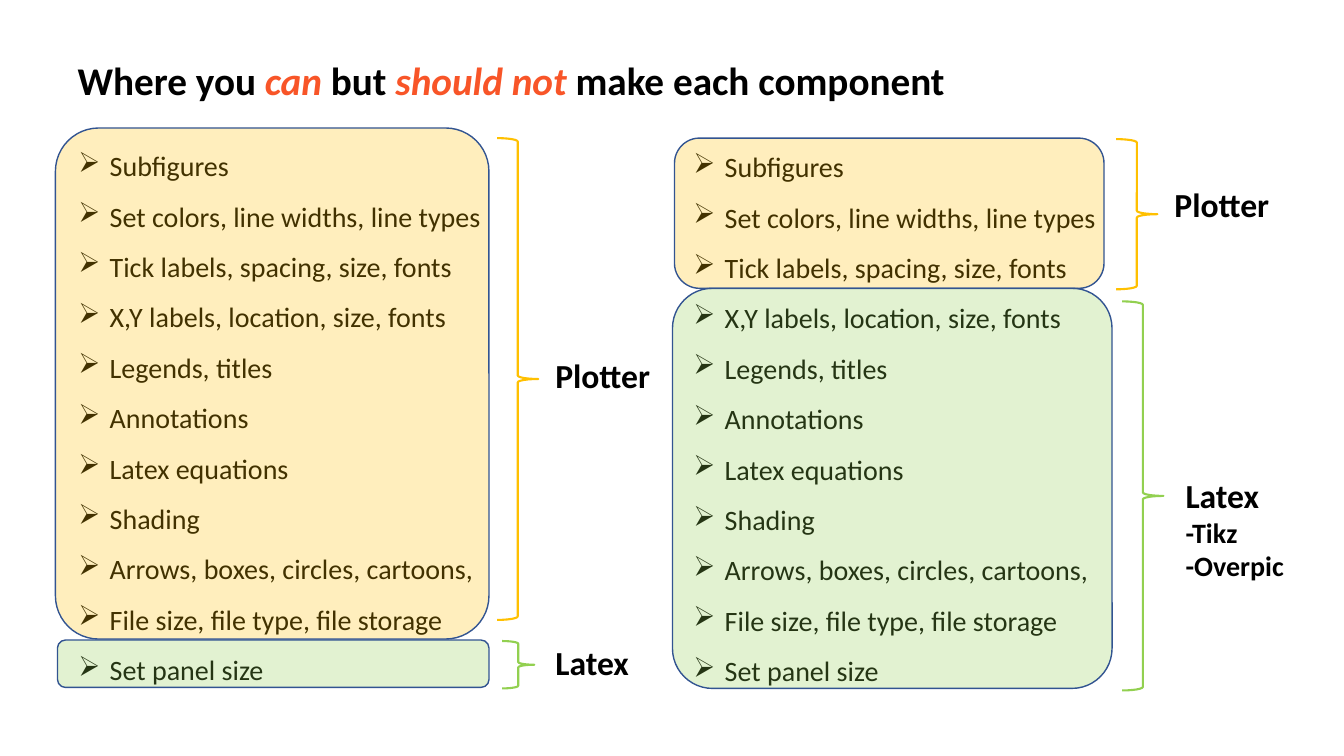
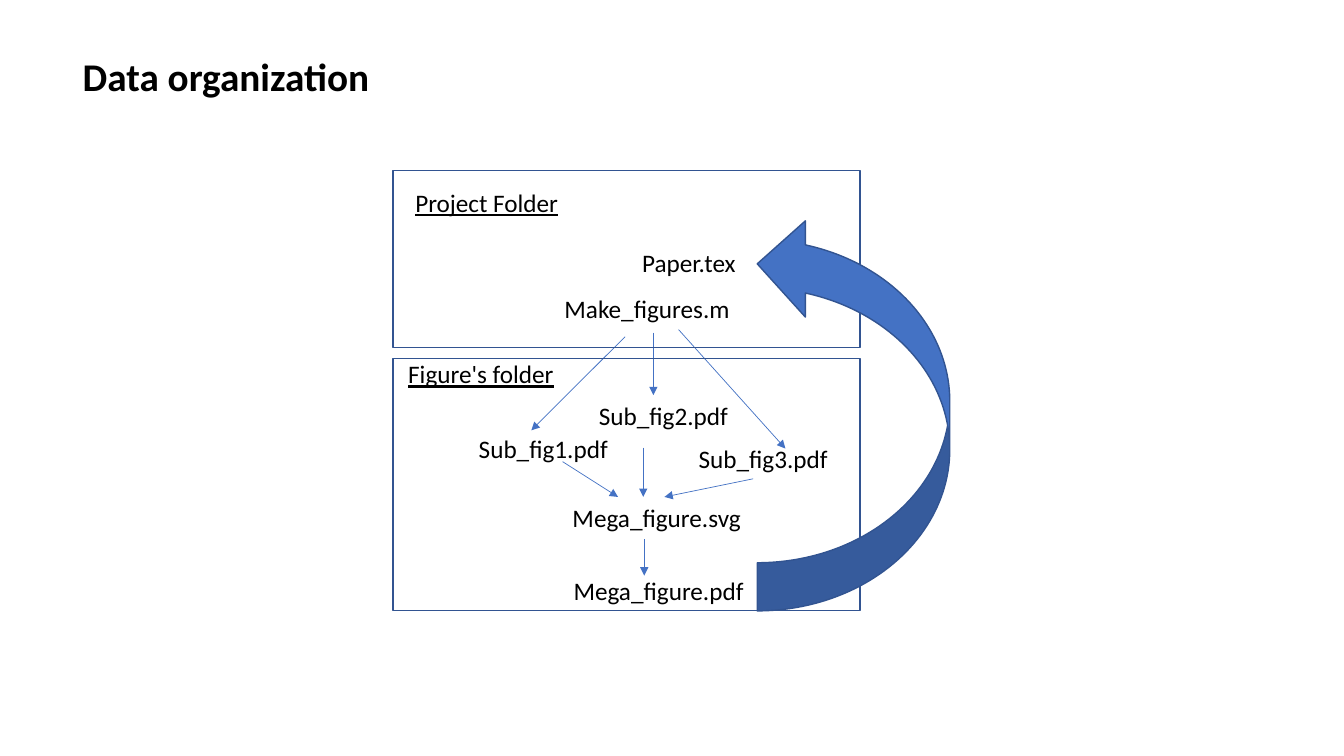
from lxml import etree
from pptx import Presentation
from pptx import util as u
from pptx.dml.color import RGBColor
from pptx.enum import shapes, text
from pptx.oxml import ns

BLACK, ACCENT = "000000", "F85528"
GOLD, GREEN = "FFC000", "92D050"
BLUE, OUTLINE = "4472C4", "325491"
SHAPE = shapes.MSO_SHAPE

COMPONENTS = [
    "Subfigures",
    "Set colors, line widths, line types",
    "Tick labels, spacing, size, fonts",
    "X,Y labels, location, size, fonts",
    "Legends, titles",
    "Annotations",
    "Latex equations",
    "Shading",
    "Arrows, boxes, circles, cartoons,",
    "File size, file type, file storage",
    "Set panel size",
]


def color(value):
    return RGBColor.from_string(value)


def inches(*values):
    return [u.Inches(value) for value in values]


class Deck:
    font = "Calibri"

    def __init__(self):
        self.presentation = Presentation()
        self.presentation.slide_width = u.Inches(13.33)
        self.presentation.slide_height = u.Inches(7.5)
        self.slide = None

    def style(self, paragraph, size, bold=False, underline=False):
        paragraph.alignment = text.PP_ALIGN.LEFT
        font = paragraph.font
        font.name, font.size = self.font, u.Pt(size)
        font.bold, font.underline = bold, underline
        font.color.rgb = color(BLACK)

    def add_slide(self, box, *title_parts):
        self.slide = self.presentation.slides.add_slide(self.presentation.slide_layouts[5])
        title = self.slide.shapes.title
        title.left, title.top, title.width, title.height = inches(*box)
        frame = title.text_frame
        frame.word_wrap = True
        frame.auto_size = text.MSO_AUTO_SIZE.NONE
        frame.vertical_anchor = text.MSO_ANCHOR.TOP
        paragraph = frame.paragraphs[0]
        self.style(paragraph, 28, bold=True)
        for words, emphasized in title_parts:
            run = paragraph.add_run()
            run.text = words
            run.font.italic = emphasized
            run.font.color.rgb = color(ACCENT if emphasized else BLACK)

    def add_text(self, box, lines, sizes, bullet=False, **style):
        frame = self.slide.shapes.add_textbox(*inches(*box)).text_frame
        frame.word_wrap = True
        frame.text = "\n".join(lines)
        for paragraph, size in zip(frame.paragraphs, sizes):
            if bullet:
                self.add_bullet(paragraph)
            self.style(paragraph, size, **style)

    def add_bullet(self, paragraph):
        paragraph.line_spacing = 1.5
        properties = paragraph._p.get_or_add_pPr()
        properties.set("marL", str(u.Inches(0.31)))
        properties.set("indent", str(-u.Inches(0.31)))
        etree.SubElement(properties, ns.qn("a:buChar")).set("char", "➢")

    def add_shape(self, kind, box, fill=None, line=OUTLINE, width=1, opacity=None, corner=None):
        shape = self.slide.shapes.add_shape(kind, *inches(*box))
        shape.shadow.inherit = False
        shape.line.color.rgb = color(line)
        shape.line.width = u.Pt(width)
        if corner is not None:
            shape.adjustments[0] = corner
        if fill is None:
            shape.fill.background()
        else:
            shape.fill.solid()
            shape.fill.fore_color.rgb = color(fill)
        if opacity is not None:
            fill_color = shape._element.spPr.find(ns.qn("a:solidFill"))[0]
            etree.SubElement(fill_color, ns.qn("a:alpha")).set("val", str(opacity * 1000))
        return shape

    def add_panel(self, box, fill, corner=None):
        self.add_shape(SHAPE.ROUNDED_RECTANGLE, box, fill, opacity=26, corner=corner)

    def add_brace(self, box, line):
        self.add_shape(SHAPE.RIGHT_BRACE, box, line=line, width=1.5)

    def add_arrow(self, start, end):
        arrow = self.slide.shapes.add_connector(
            shapes.MSO_CONNECTOR.STRAIGHT, *inches(*start, *end))
        arrow.line.color.rgb = color(BLUE)
        arrow.line.width = u.Pt(0.5)
        line = arrow.line._get_or_add_ln()
        etree.SubElement(line, ns.qn("a:tailEnd")).set("type", "triangle")
        etree.SubElement(arrow._element.spPr, ns.qn("a:effectLst"))


def build_components(deck):
    deck.add_slide((0.67, 0.51, 8.94, 0.57), ("Where you ", False), ("can ", True),
                   ("but ", False), ("should not ", True), ("make each component", False))
    for left, top in [(0.68, 1.26), (6.78, 1.27)]:
        deck.add_text((left, top, 4.36, 5.6), COMPONENTS, [20] * len(COMPONENTS), bullet=True)
    for box, lines in [
        ((5.41, 3.47, 1.33, 0.5), ["Plotter"]),
        ((5.41, 6.32, 1.15, 0.5), ["Latex"]),
        ((11.55, 1.78, 1.33, 0.5), ["Plotter"]),
        ((11.66, 4.66, 1.59, 1.18), ["Latex", "-Tikz", "-Overpic"]),
    ]:
        deck.add_text(box, lines, [24, 20, 20], bold=True)
    for brace, panel, fill, corner in [
        ((4.93, 1.37, 0.41, 4.78), (0.55, 1.27, 4.3, 5.07), GOLD, 0.1),
        ((4.98, 6.36, 0.32, 0.47), (0.57, 6.35, 4.28, 0.47), GREEN, None),
        ((11.07, 1.38, 0.41, 1.49), (6.69, 1.37, 4.26, 1.49), GOLD, None),
        ((11.13, 2.99, 0.41, 3.86), (6.67, 2.86, 4.36, 3.97), GREEN, 0.1),
    ]:
        deck.add_brace(brace, fill)
        deck.add_panel(panel, fill, corner)


def build_organization(deck):
    deck.add_slide((0.72, 0.47, 3.14, 0.57), ("Data organization", False))
    for left, top, width, folder in [
        (4.02, 1.81, 2.02, "Project Folder"),
        (3.95, 3.51, 1.69, "Figure's folder"),
    ]:
        deck.add_text((left, top, width, 0.4), [folder], [18], underline=True)
    for left, top, width, file_name in [
        (6.27, 2.4, 1.7, "Paper.tex"),
        (5.5, 2.86, 2.29, "Make_figures.m"),
        (4.65, 4.25, 3.14, "Sub_fig1.pdf"),
        (5.84, 3.92, 1.82, "Sub_fig2.pdf"),
        (6.83, 4.35, 1.63, "Sub_fig3.pdf"),
        (5.58, 4.93, 2.3, "Mega_figure.svg"),
        (5.59, 5.66, 3.14, "Mega_figure.pdf"),
    ]:
        deck.add_text((left, top, width, 0.4), [file_name], [18])
    for start, end in [
        ((6.2, 3.34), (5.27, 4.27)),
        ((6.48, 3.3), (6.48, 3.92)),
        ((6.73, 3.27), (7.79, 4.45)),
        ((5.58, 4.58), (6.13, 4.93)),
        ((6.38, 4.44), (6.38, 4.93)),
        ((7.47, 4.75), (6.59, 4.93)),
        ((6.39, 5.35), (6.39, 5.71)),
    ]:
        deck.add_arrow(start, end)
    for top, height in [(1.69, 1.76), (3.56, 2.5)]:
        deck.add_shape(SHAPE.RECTANGLE, (3.9, top, 4.63, height))
    return_arrow = deck.add_shape(SHAPE.CURVED_RIGHT_ARROW, (7.51, 2.14, 1.91, 3.92), BLUE)
    return_arrow.rotation = 180


def main():
    deck = Deck()
    build_components(deck)
    build_organization(deck)
    deck.presentation.save("out.pptx")


if __name__ == "__main__":
    main()
